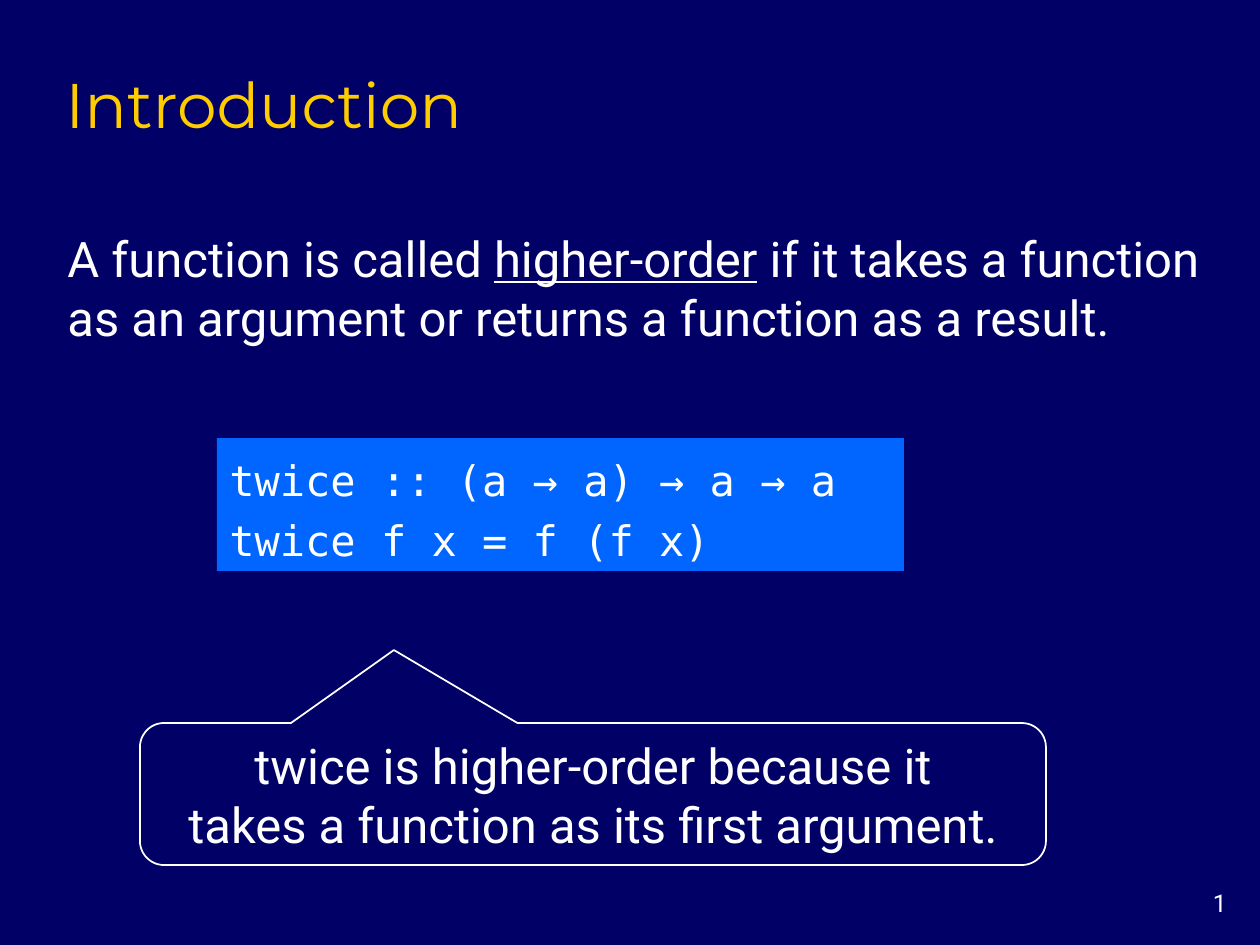
from dataclasses import dataclass

from pptx import Presentation
from pptx.dml.color import RGBColor
from pptx.enum import shapes, text
from pptx.util import Pt

EMU_PER_PX = 914400 / 126


@dataclass(frozen=True)
class Theme:
    background: str = "000066"
    heading: str = "FFCC00"
    foreground: str = "FFFFFF"
    code_fill: str = "0066FF"
    heading_font: str = "Montserrat"
    body_font: str = "Roboto"
    code_font: str = "DejaVu Sans Mono"
    heading_size: int = 36
    body_size: int = 28
    code_size: int = 24
    number_size: int = 14


THEME = Theme()


def px(length):
    return round(length * EMU_PER_PX)


def paint(fill, color):
    fill.solid()
    fill.fore_color.rgb = RGBColor.from_string(color)


def write(shape, paragraphs, *, font=THEME.body_font, size=THEME.body_size,
          color=THEME.foreground, align=text.PP_ALIGN.LEFT,
          anchor=text.MSO_ANCHOR.MIDDLE, spacing=None):
    frame = shape.text_frame
    frame.word_wrap = True
    frame.vertical_anchor = anchor
    for index, runs in enumerate(paragraphs):
        paragraph = frame.paragraphs[0] if index == 0 else frame.add_paragraph()
        paragraph.alignment = align
        paragraph.line_spacing = spacing
        for wording, underlined in runs:
            run = paragraph.add_run()
            run.text = wording
            run.font.name = font
            run.font.size = Pt(size)
            run.font.color.rgb = RGBColor.from_string(color)
            run.font.underline = underlined


def plain(*lines):
    return [[(line, None)] for line in lines]


def add_text(slide, box, paragraphs, **style):
    label = slide.shapes.add_textbox(*map(px, box))
    write(label, paragraphs, **style)


def add_panel(slide, kind, box, paragraphs, fill=None, line=None, **style):
    panel = slide.shapes.add_shape(kind, *map(px, box))
    panel.shadow.inherit = False
    if fill:
        paint(panel.fill, fill)
    else:
        panel.fill.background()
    if line:
        paint(panel.line.fill, line)
        panel.line.width = Pt(1)
    else:
        panel.line.fill.background()
    write(panel, paragraphs, **style)
    return panel


def add_callout(slide, box, paragraphs, pointer):
    callout = add_panel(slide, shapes.MSO_SHAPE.ROUNDED_RECTANGULAR_CALLOUT, box,
                        paragraphs, line=THEME.foreground,
                        align=text.PP_ALIGN.CENTER)
    left, top, width, height = box
    tip_x, tip_y = pointer
    callout.adjustments[0] = (tip_x - left) / width - 0.5
    callout.adjustments[1] = (tip_y - top) / height - 0.5
    callout.adjustments[2] = 0.17


def main():
    deck = Presentation()
    deck.slide_width, deck.slide_height = px(1260), px(945)
    slide = deck.slides.add_slide(deck.slide_layouts[6])
    paint(slide.background.fill, THEME.background)

    add_text(slide, (1155, 882, 84, 42), plain("1"), size=THEME.number_size,
             align=text.PP_ALIGN.RIGHT, anchor=text.MSO_ANCHOR.TOP)
    add_text(slide, (53, 53, 1173, 94), plain("Introduction"),
             font=THEME.heading_font, size=THEME.heading_size,
             color=THEME.heading, anchor=text.MSO_ANCHOR.BOTTOM)
    definition = [("A function is called ", None), ("higher-order", True),
                  (" if it takes a function as an argument or returns"
                   " a function as a result.", None)]
    add_text(slide, (55, 222, 1164, 130), [definition])
    add_panel(slide, shapes.MSO_SHAPE.RECTANGLE, (217, 438, 687, 133),
              plain("twice :: (a → a) → a → a", "twice f x = f (f x)"),
              fill=THEME.code_fill, font=THEME.code_font,
              size=THEME.code_size, spacing=1.2)
    add_callout(slide, (140, 723, 906, 142),
                plain("twice is higher-order because it",
                      "takes a function as its first argument."),
                pointer=(394, 650))

    deck.save("out.pptx")


if __name__ == "__main__":
    main()
